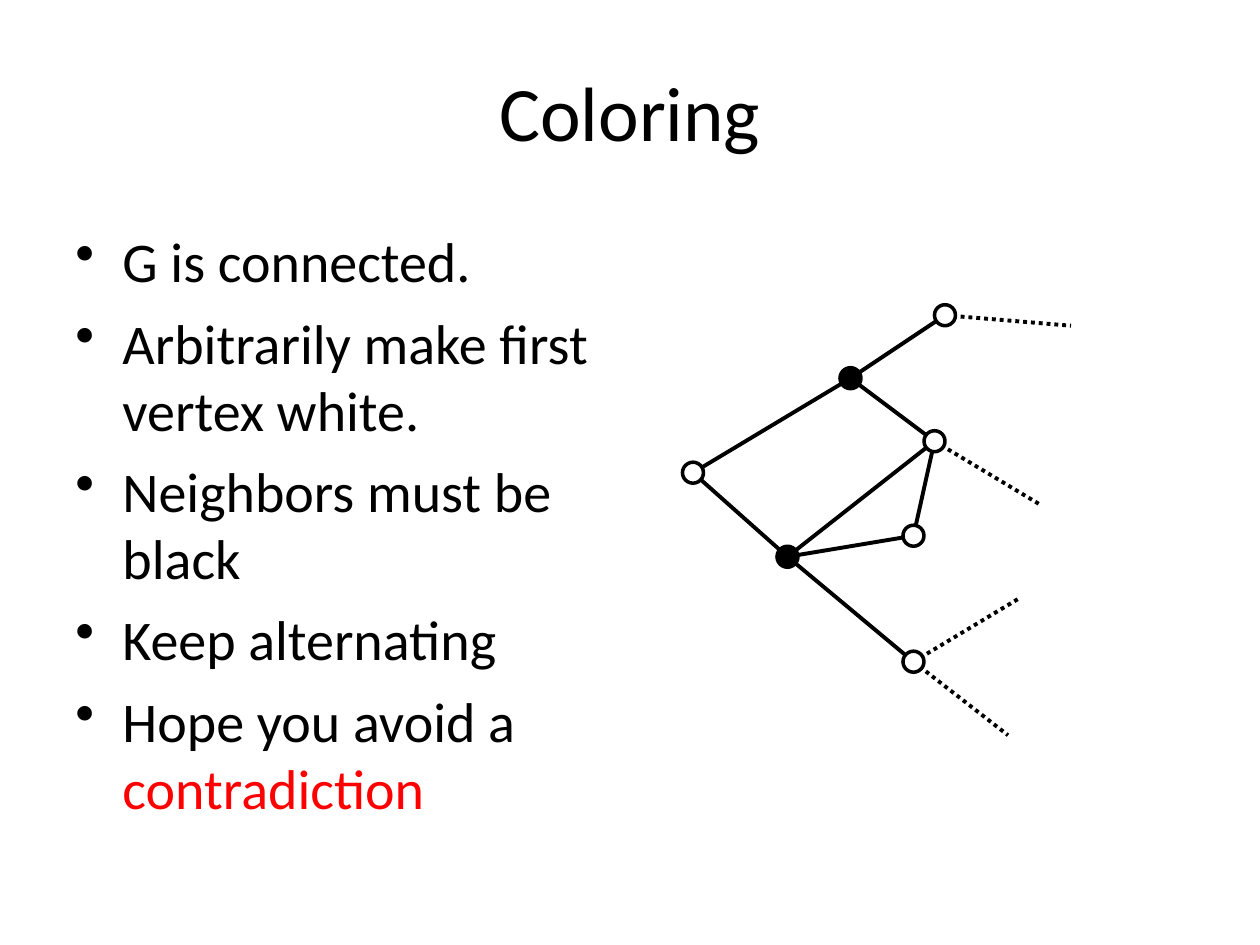
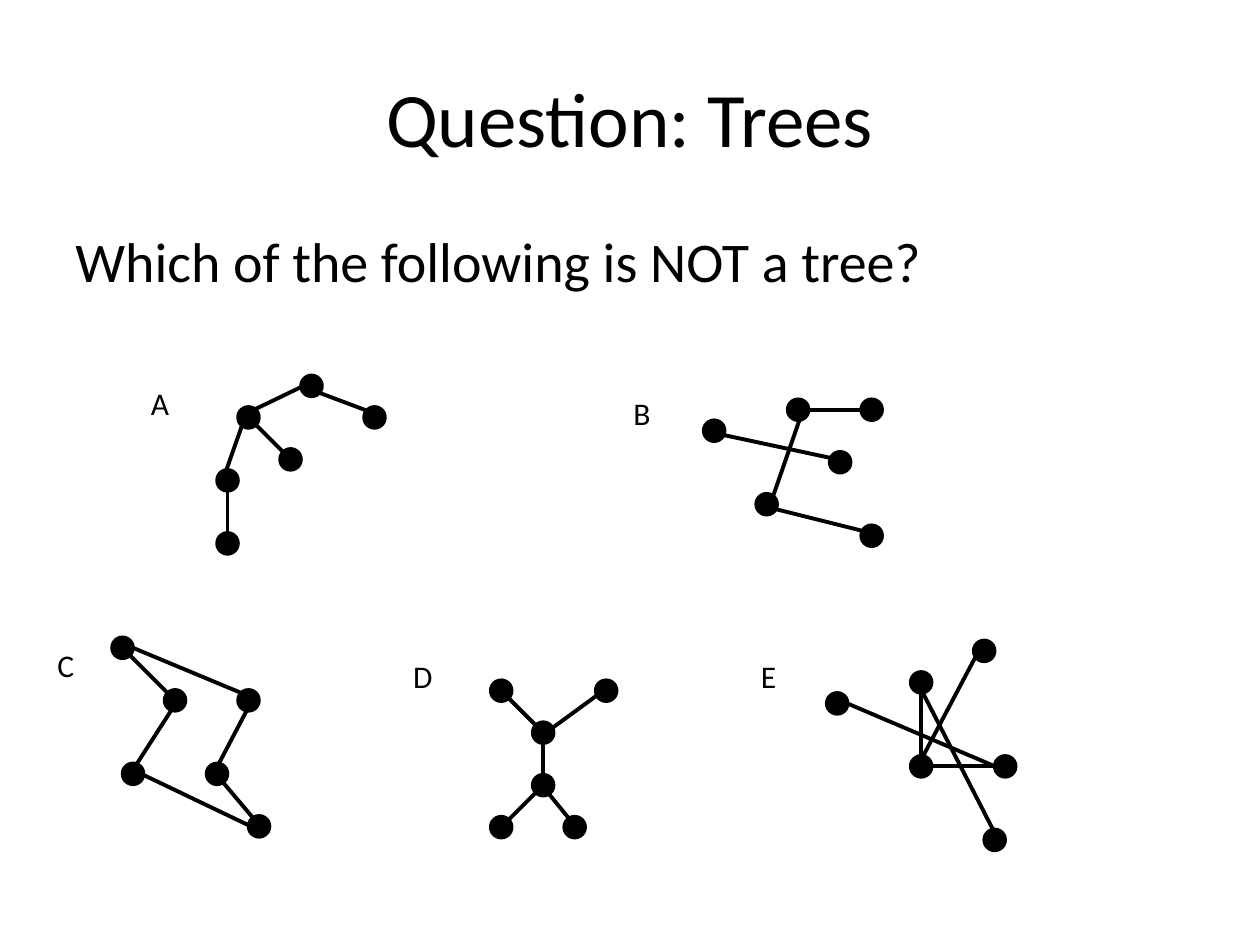
from lxml import etree
from pptx import Presentation
from pptx.dml.color import RGBColor
from pptx.enum.dml import MSO_LINE
from pptx.enum.shapes import MSO_CONNECTOR, MSO_SHAPE
from pptx.enum.text import MSO_ANCHOR, PP_ALIGN
from pptx.oxml.ns import qn
from pptx.util import Cm, Pt

BLACK = RGBColor(0x00, 0x00, 0x00)
WHITE = RGBColor(0xFF, 0xFF, 0xFF)
RED = RGBColor(0xFF, 0x00, 0x00)
FONT = "Calibri"
CENTER, LEFT = PP_ALIGN.CENTER, PP_ALIGN.LEFT
MIDDLE, TOP = MSO_ANCHOR.MIDDLE, MSO_ANCHOR.TOP
STRAIGHT, OVAL, DOTTED = MSO_CONNECTOR.STRAIGHT, MSO_SHAPE.OVAL, MSO_LINE.ROUND_DOT

# Graphs are laid out on a grid of twelve steps to 2.54 cm
STEP = Cm(2.54) / 12
RADIUS = STEP
DIAGONAL = 0.71
SIDES = {
    "": (0, 0), "N": (0, -1), "S": (0, 1), "W": (-1, 0), "E": (1, 0),
    "NW": (-DIAGONAL, -DIAGONAL), "NE": (DIAGONAL, -DIAGONAL),
    "SW": (-DIAGONAL, DIAGONAL), "SE": (DIAGONAL, DIAGONAL),
}

# Coloring graph: vertex -> (grid column, grid row, fill)
COLORED = {
    "start": (0, 0, WHITE), "upper": (15, -9, BLACK), "lower": (9, 8, BLACK),
    "bottom": (21, 18, WHITE), "middle": (21, 6, WHITE),
    "right": (23, -3, WHITE), "top": (24, -15, WHITE),
}
COLORED_EDGES = [
    ("right", "middle"), ("start", "upper"), ("start", "lower"),
    ("lower", "middle"), ("upper", "right"), ("lower", "bottom"),
    ("lower", "right"), ("upper", "top"),
]
OPEN_EDGES = [
    ("top", (36, -14)), ("right", (33, 3)),
    ("bottom", (31, 12)), ("bottom", (30, 25)),
]

# Answers: letter, letter place and graph origin in cm, vertices on the grid,
# edges as (vertex, side, vertex, side)
ANSWERS = [
    ("A", (2.79, 7.62), (6.28, 7.78),
     [(0, 0), (-6, 3), (6, 3), (-8, 9), (-8, 15), (-2, 7)],
     [(4, "S", 3, "N"), (3, "SW", 1, "N"), (1, "NW", 5, "SE"),
      (1, "W", 0, "NE"), (0, "W", 2, "E")]),
    ("B", (12.52, 7.82), (16.09, 8.26),
     [(0, 0), (7, 0), (-3, 9), (4, 5), (7, 12), (-8, 2)],
     [(1, "E", 0, "W"), (0, "NE", 2, "S"), (2, "W", 4, "E"),
      (5, "W", 3, "E")]),
    ("C", (0.91, 12.9), (2.47, 13.06),
     [(5, 5), (12, 5), (1, 12), (9, 12), (0, 0), (13, 17)],
     [(4, "NW", 1, "E"), (4, "NW", 0, "SE"), (0, "NE", 2, "SW"),
      (1, "NE", 3, "SW"), (2, "NW", 5, "SE"), (3, "NW", 5, "SE")]),
    ("D", (8.08, 13.13), (10.95, 14.77),
     [(0, 0), (0, 5), (-4, 9), (3, 9), (6, -4), (-4, -4)],
     [(5, "NW", 0, "SE"), (4, "NE", 0, "SW"), (0, "N", 1, "S"),
      (2, "SW", 1, "NE"), (1, "NW", 3, "SE")]),
    ("E", (15.09, 13.13), (18.57, 15.45),
     [(0, 0), (0, -8), (8, 0), (-8, -6), (7, 7), (6, -11)],
     [(0, "W", 2, "E"), (0, "S", 1, "N"), (3, "NW", 2, "SE"),
      (1, "NW", 4, "SE"), (0, "SW", 5, "N")]),
]


class Deck:
    """Holds the presentation, the current page and the graph origin."""

    def __init__(self):
        self.deck = Presentation()
        self.deck.slide_width, self.deck.slide_height = Cm(25.4), Cm(19.05)
        self.page = None
        self.origin = (0, 0)

    def new_page(self, title, title_top):
        self.page = self.deck.slides.add_slide(self.deck.slide_layouts[6])
        self.text(title, 1.27, title_top, 22.86, 3.18, 44, CENTER, MIDDLE)

    def format(self, para, size):
        for span in para.runs:
            span.font.name, span.font.size = FONT, Pt(size)
            span.font.color.rgb = BLACK

    def text(self, words, left, top, width, height, size,
             align=LEFT, anchor=TOP, wrap=True):
        box = self.page.shapes.add_textbox(Cm(left), Cm(top), Cm(width), Cm(height))
        frame = box.text_frame
        frame.text = words
        frame.word_wrap, frame.vertical_anchor = wrap, anchor
        for para in frame.paragraphs:
            para.alignment = align
            self.format(para, size)
        return frame

    def body(self, lines, width, height, bullets=True):
        frame = self.text("\n".join(lines), 1.27, 4.45, width, height, 32)
        for index, para in enumerate(frame.paragraphs):
            properties = para._p.get_or_add_pPr()
            properties.set("marL", str(Cm(0.95)))
            properties.set("indent", str(-Cm(0.95)))
            if bullets:
                etree.SubElement(properties, qn("a:buChar")).set("char", "•")
            if index:
                para.space_before = Pt(8)
        return frame

    def highlight(self, para, words):
        span = para.add_run()
        span.text = words
        self.format(para, 32)
        span.font.color.rgb = RED

    def place(self, point, side=""):
        """Slide position of a grid point, or of a side of its vertex."""
        return [int(start + step * STEP + shift * RADIUS)
                for start, step, shift in zip(self.origin, point, SIDES[side])]

    def edge(self, start, end, start_side="", end_side="", dotted=False):
        line = self.page.shapes.add_connector(
            STRAIGHT, *self.place(start, start_side), *self.place(end, end_side))
        line.line.color.rgb, line.line.width = BLACK, Pt(2.25)
        if dotted:
            line.line.dash_style = DOTTED
        etree.SubElement(line._element.spPr, qn("a:effectLst"))

    def vertex(self, point, fill=BLACK):
        x, y = self.place(point)
        dot = self.page.shapes.add_shape(
            OVAL, int(x - RADIUS), int(y - RADIUS), int(2 * RADIUS), int(2 * RADIUS))
        dot.shadow.inherit = False
        dot.fill.solid()
        dot.fill.fore_color.rgb = fill
        dot.line.color.rgb, dot.line.width = BLACK, Pt(2)


def coloring(deck):
    deck.new_page("Coloring", 0.64)
    frame = deck.body(
        ["G is connected.", "Arbitrarily make first vertex white.",
         "Neighbors must be black", "Keep alternating", "Hope you avoid a "],
        11.43, 12.57)
    deck.highlight(frame.paragraphs[-1], "contradiction")

    # Graph with edges below the vertices
    deck.origin = (Cm(13.97), Cm(9.53))
    for start, end in COLORED_EDGES:
        deck.edge(COLORED[start][:2], COLORED[end][:2])
    for start, end in OPEN_EDGES:
        deck.edge(COLORED[start][:2], end, dotted=True)
    for column, row, fill in COLORED.values():
        deck.vertex((column, row), fill)


def trees(deck):
    deck.new_page("Question: Trees", 0.76)
    deck.body(["Which of the following is NOT a tree?"], 22.86, 1.7, bullets=False)

    # Five answers, each a letter and a graph
    for letter, (left, top), origin, vertices, edges in ANSWERS:
        deck.text(letter, left, top, 0.86, 1.02, 18, wrap=False)
        deck.origin = [Cm(length) for length in origin]
        for start, start_side, end, end_side in edges:
            deck.edge(vertices[start], vertices[end], start_side, end_side)
        for point in vertices:
            deck.vertex(point)


def main():
    deck = Deck()
    coloring(deck)
    trees(deck)
    deck.deck.save("out.pptx")


if __name__ == "__main__":
    main()
